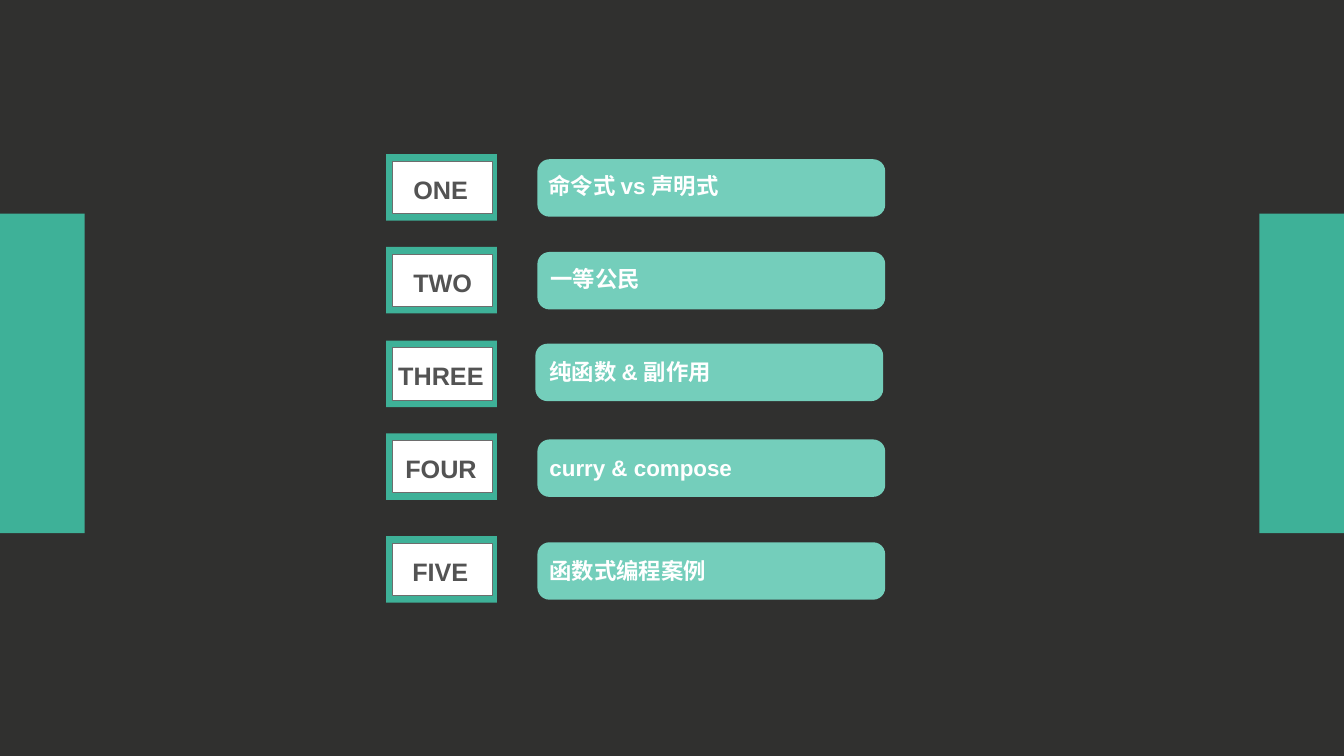
from pptx import Presentation
from pptx.dml.color import RGBColor as RGB
from pptx.enum.shapes import MSO_SHAPE as SHAPE
from pptx.enum.text import MSO_AUTO_SIZE as FIT
from pptx.util import Inches, Pt

# Content: word, word left, word width, topic, topic left, topic top, bar left, bar top, badge top
ROWS = [
    ("ONE", 4.05, 0.66, "命令式 vs 声明式", 5.44, 1.71, 5.33, 1.58, 1.53),
    ("TWO", 4.05, 0.70, "一等公民", 5.46, 2.63, 5.33, 2.50, 2.45),
    ("THREE", 3.90, 0.96, "纯函数 & 副作用", 5.45, 3.55, 5.31, 3.41, 3.38),
    ("FOUR", 3.97, 0.82, "curry & compose", 5.45, 4.51, 5.33, 4.36, 4.30),
    ("FIVE", 4.04, 0.67, "函数式编程案例", 5.45, 5.53, 5.33, 5.38, 5.32),
]
COLORS = {"back": "30302F", "teal": "3EB198", "mint": "74CEBB",
          "white": "FFFFFF", "edge": "6D6D6D", "dark": "535353"}
WORD = {"size": Pt(18), "bold": True, "name": "Arial"}
TOPIC = {"size": Pt(16), "bold": True, "name": "Arial"}
WIDE, HIGH = 13.33, 7.5
SIDE = 0.84


def color(key):
    return RGB.from_string(COLORS[key])


def block(x, y, w, h, fill, kind=SHAPE.RECTANGLE, edge=None):
    box = slide.shapes.add_shape(kind, *map(Inches, (x, y, w, h)))
    box.shadow.inherit = False
    box.fill.solid()
    box.fill.fore_color.rgb = color(fill)
    if edge:
        box.line.color.rgb = color(edge)
        box.line.width = Pt(0.75)
    else:
        box.line.fill.background()
    return box


def label(text, x, y, w, h, look, ink, pad, wrap, gap=0):
    frame = slide.shapes.add_textbox(*map(Inches, (x, y, w, h))).text_frame
    for side in ("left", "top", "right", "bottom"):
        setattr(frame, "margin_" + side, Inches(pad))
    frame.word_wrap = wrap
    frame.auto_size = FIT.SHAPE_TO_FIT_TEXT
    para = frame.paragraphs[0]
    para.space_before = Pt(gap)
    run = para.add_run()
    run.text = text
    for key, val in look.items():
        setattr(run.font, key, val)
    run.font.color.rgb = color(ink)


# Slide and background
deck = Presentation()
deck.slide_width, deck.slide_height = Inches(WIDE), Inches(HIGH)
slide = deck.slides.add_slide(deck.slide_layouts[6])
slide.background.fill.solid()
slide.background.fill.fore_color.rgb = color("back")

# Side panels
for left in (0, WIDE - SIDE):
    block(left, 2.12, SIDE, 3.17, "teal")

# Agenda rows: bar with topic, framed badge with word
for word, wx, ww, topic, tx, ty, bx, by, top in ROWS:
    bar = block(bx, by, 3.45, 0.57, "mint", SHAPE.ROUNDED_RECTANGLE)
    bar.adjustments[0] = 0.21
    label(topic, tx, ty, 2.14, 0.31, TOPIC, "white", 0, True, 3)
    block(3.83, top, 1.1, 0.66, "teal")
    block(3.89, top + 0.07, 0.99, 0.52, "white", edge="edge")
    label(word, wx, top + 0.15, ww, 0.38, WORD, "dark", 0.05, False)

deck.save("out.pptx")
